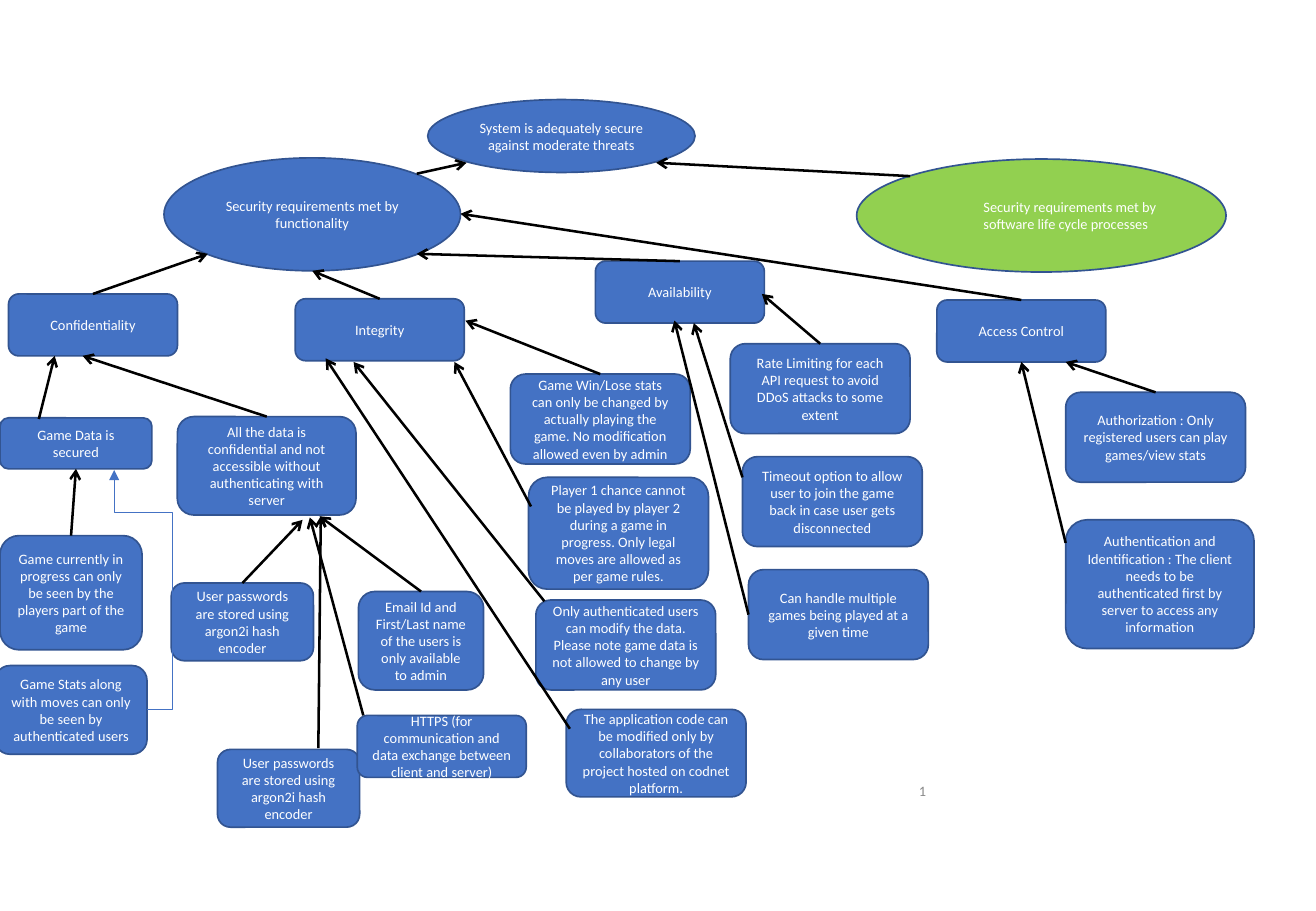
from lxml.etree import SubElement
from pptx import Presentation
from pptx.dml.color import RGBColor
from pptx.enum.shapes import MSO_CONNECTOR, MSO_SHAPE
from pptx.enum.text import MSO_ANCHOR, PP_ALIGN
from pptx.oxml.ns import qn
from pptx.util import Inches, Pt

BLUE = RGBColor(0x44, 0x72, 0xC4)
OUTLINE = RGBColor(0x32, 0x54, 0x91)
GREEN = RGBColor(0x92, 0xD0, 0x50)
WHITE = RGBColor(0xFF, 0xFF, 0xFF)
BLACK = RGBColor(0, 0, 0)
GREY = RGBColor(0x89, 0x89, 0x89)

TOP, LEFT, BOTTOM = 0, 1, 2
HEAD_SIZE = (1.39, 0.51)
CLAIM_SIZE = (1.48, 0.74)
PASSWORD_SIZE = (1.17, 0.64)
PASSWORDS = "User passwords are stored using argon2i hash encoder"


def style_text(p, color, align):
    p.alignment = align
    p.font.size = Pt(8.5)
    p.font.name = "Calibri"
    p.font.color.rgb = color


def add_node(slide, text, at, size, shape=MSO_SHAPE.ROUNDED_RECTANGLE, fill=BLUE):
    sp = slide.shapes.add_shape(shape, *map(Inches, (*at, *size)))
    sp.shadow.inherit = False
    sp.fill.solid()
    sp.fill.fore_color.rgb = fill
    sp.line.color.rgb = OUTLINE
    sp.line.width = Pt(1)
    tf = sp.text_frame
    tf.word_wrap = True
    tf.vertical_anchor = MSO_ANCHOR.MIDDLE
    p = tf.paragraphs[0]
    p.text = text
    style_text(p, WHITE, PP_ALIGN.CENTER)
    return sp


def style_connector(cxn, color, width, head):
    cxn.line.color.rgb = color
    cxn.line.width = Pt(width)
    SubElement(cxn.line._get_or_add_ln(), qn("a:tailEnd"), type=head)
    SubElement(cxn._element.spPr, qn("a:effectLst"))


def add_arrow(slide, start, end):
    """Each end is an (x, y) point or a (shape, side) pair to join."""
    points = [e if isinstance(e[0], (int, float)) else (0, 0) for e in (start, end)]
    cxn = slide.shapes.add_connector(
        MSO_CONNECTOR.STRAIGHT, *(Inches(v) for point in points for v in point))
    for e, join in ((start, cxn.begin_connect), (end, cxn.end_connect)):
        if not isinstance(e[0], (int, float)):
            join(*e)
    style_connector(cxn, BLACK, 1.5, "arrow")


def shift(origin, offset):
    return round(origin[0] + offset[0], 2), round(origin[1] + offset[1], 2)


def add_claim(slide, origin, text, at, size, start, end):
    """Box with an arrow to what it supports; points are offsets from origin."""
    sp = add_node(slide, text, shift(origin, at), size)
    begin = (sp, start) if isinstance(start, int) else shift(origin, start)
    finish = shift(origin, end) if isinstance(end[0], (int, float)) else end
    add_arrow(slide, begin, finish)
    return sp


def add_goals(slide, at):
    oval = MSO_SHAPE.OVAL
    add_node(slide, "System is adequately secure against moderate threats",
             shift(at, (2.17, 0)), (2.2, 0.6), oval)
    add_node(slide, "Security requirements met by functionality",
             shift(at, (0, 0.48)), (2.44, 0.93), oval)
    process = add_node(slide, "Security requirements met by software life cycle processes",
                       shift(at, (5.7, 0.49)), (3.04, 0.93), oval, GREEN)
    p = process.text_frame.paragraphs[0]
    p.level = 1
    p.alignment = PP_ALIGN.LEFT
    for start, end in (((2.08, 0.61), (2.49, 0.52)), ((6.14, 0.63), (4.05, 0.52))):
        add_arrow(slide, shift(at, start), shift(at, end))


def add_head(slide, text, at, goal):
    head = add_node(slide, text, at, HEAD_SIZE)
    add_arrow(slide, (head, TOP), goal)
    return head


def add_elbow(slide, start, end):
    cxn = slide.shapes.add_connector(MSO_CONNECTOR.ELBOW, *map(Inches, (*start, *end)))
    geom = cxn._element.spPr.find(qn("a:prstGeom"))
    geom.set("prst", "bentConnector4")
    guides = geom.find(qn("a:avLst"))
    for name, value in (("adj1", -76100), ("adj2", 82400)):
        SubElement(guides, qn("a:gd"), name=name, fmla=f"val {value}")
    style_connector(cxn, BLUE, 0.5, "triangle")


def add_confidentiality(slide, at):
    add_head(slide, "Confidentiality", at, (1.71, 2.09))
    game_data = add_claim(slide, at, "Game Data is secured",
                          (-0.07, 1.02), (1.25, 0.42), (0.25, 1.03), (0.38, 0.51))
    add_node(slide, "Game Stats along with moves can only be seen by authenticated users",
             shift(at, (-0.11, 3.06)), (1.25, 0.73))
    for claim in (
        ("Game currently in progress can only be seen by the players part of the game",
         (-0.07, 1.99), (1.17, 0.94), TOP, (game_data, BOTTOM)),
        ("All the data is confidential and not accessible without authenticating with server",
         (1.39, 1.01), (1.47, 0.81), TOP, (0.61, 0.51)),
        ("Email Id and First/Last name of the users is only available to admin",
         (2.88, 2.45), (1.03, 0.81), TOP, (2.56, 1.83)),
        (PASSWORDS, (1.34, 2.38), PASSWORD_SIZE, TOP, (2.42, 1.86)),
        (PASSWORDS, (1.72, 3.75), PASSWORD_SIZE, (2.55, 3.74), (2.57, 1.83)),
        ("HTTPS (for communication and data exchange between client and server)",
         (2.87, 3.47), (1.39, 0.51), (2.92, 3.47), (2.48, 1.84)),
    ):
        add_claim(slide, at, *claim)
    add_elbow(slide, shift(at, (1.14, 3.42)), shift(at, (0.87, 1.45)))


def add_integrity(slide, at):
    add_head(slide, "Integrity", at, (2.57, 2.23))
    for claim in (
        ("Game Win/Lose stats can only be changed by actually playing the game. "
         "No modification allowed even by admin",
         (1.77, 0.62), CLAIM_SIZE, TOP, (1.4, 0.18)),
        ("Player 1 chance cannot be played by player 2 during a game in progress. "
         "Only legal moves are allowed as per game rules.",
         (1.92, 1.47), (1.48, 0.92), (1.94, 1.71), (1.31, 0.52)),
        ("Only authenticated users can modify the data. "
         "Please note game data is not allowed to change by any user",
         (1.98, 2.48), CLAIM_SIZE, (2.05, 2.49), (0.48, 0.52)),
        ("The application code can be modified only by collaborators of the "
         "project hosted on codnet platform.",
         (2.23, 3.38), (1.48, 0.72), (2.26, 3.54), (0.25, 0.49)),
    ):
        add_claim(slide, at, *claim)


def add_availability(slide, at):
    add_head(slide, "Availability", at, (3.43, 2.09))
    for claim in (
        ("Rate Limiting for each API request to avoid DDoS attacks to some extent",
         (1.11, 0.68), CLAIM_SIZE, TOP, (1.37, 0.27)),
        ("Timeout option to allow user to join the game back in case user gets disconnected",
         (1.21, 1.61), CLAIM_SIZE, (1.21, 1.78), (0.81, 0.51)),
        ("Can handle multiple games being played at a given time",
         (1.26, 2.54), CLAIM_SIZE, LEFT, (0.65, 0.49)),
    ):
        add_claim(slide, at, *claim)


def add_access_control(slide, at):
    head = add_head(slide, "Access Control", at, (3.79, 1.76))
    for claim in (
        ("Authorization : Only registered users can play games/view stats",
         (1.06, 0.76), CLAIM_SIZE, TOP, (1.06, 0.51)),
        ("Authentication and Identification : The client needs to be authenticated "
         "first by server to access any information",
         (1.06, 1.81), (1.55, 1.06), (1.06, 2), (head, BOTTOM)),
    ):
        add_claim(slide, at, *claim)


def add_page_number(slide, at, size):
    tf = slide.shapes.add_textbox(*map(Inches, (*at, *size))).text_frame
    tf.word_wrap = True
    tf.vertical_anchor = MSO_ANCHOR.MIDDLE
    p = tf.paragraphs[0]
    p.text = "1"
    style_text(p, GREY, PP_ALIGN.RIGHT)


def main():
    prs = Presentation()
    prs.slide_width, prs.slide_height = Inches(10.83), Inches(7.5)
    slide = prs.slides.add_slide(prs.slide_layouts[6])
    add_page_number(slide, (5.82, 6.35), (1.9, 0.32))
    add_goals(slide, (1.35, 0.82))
    add_confidentiality(slide, (0.07, 2.42))
    add_integrity(slide, (2.43, 2.46))
    add_availability(slide, (4.9, 2.15))
    add_access_control(slide, (7.71, 2.47))
    prs.save("out.pptx")


if __name__ == "__main__":
    main()
